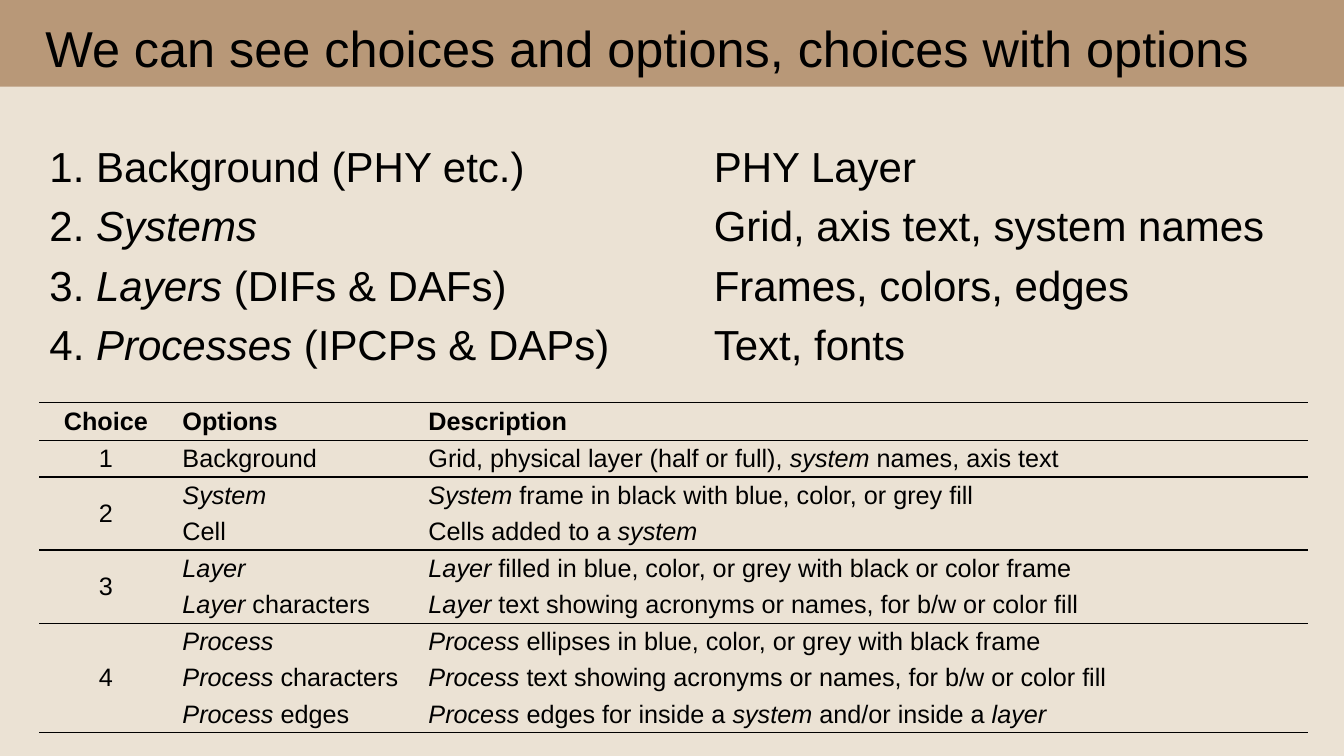
from dataclasses import dataclass

from lxml.etree import SubElement
from pptx import Presentation
from pptx.dml.color import RGBColor
from pptx.enum.text import MSO_ANCHOR, MSO_AUTO_SIZE, PP_ALIGN
from pptx.oxml.ns import qn
from pptx.util import Inches, Pt


@dataclass(frozen=True)
class Theme:
    """Colours, font and type sizes of the slide."""
    background: RGBColor = RGBColor(0xEB, 0xE2, 0xD4)
    band: RGBColor = RGBColor(0xB8, 0x98, 0x78)
    ink: RGBColor = RGBColor(0, 0, 0)
    font: str = "Arial"
    title_size: int = 36
    body_size: int = 30
    table_size: int = 18
    rule_width: int = 1


THEME = Theme()

CHOICES = ["1. Background (PHY etc.)", "2. *Systems*",
           "3. *Layers* (DIFs & DAFs)", "4. *Processes* (IPCPs & DAPs)"]
OPTIONS = ["PHY Layer", "Grid, axis text, system names",
           "Frames, colors, edges", "Text, fonts"]
HEADER = ("Choice", "Options", "Description")
GROUPS = [
    [("Background", "Grid, physical layer (half or full), *system* names, axis text")],
    [("*System*", "*System* frame in black with blue, color, or grey fill"),
     ("Cell", "Cells added to a *system*")],
    [("*Layer*", "*Layer* filled in blue, color, or grey with black or color frame"),
     ("*Layer* characters", "*Layer* text showing acronyms or names, for b/w or color fill")],
    [("*Process*", "*Process* ellipses in blue, color, or grey with black frame"),
     ("*Process* characters", "*Process* text showing acronyms or names, for b/w or color fill"),
     ("*Process* edges", "*Process* edges for inside a *system* and/or inside a *layer*")],
]
UNRULED_OPTION = "*Process* characters"


def add_runs(paragraph, text, size, bold=False):
    """Add text run by run, with the parts between asterisks in italics."""
    for index, part in enumerate(text.split("*")):
        if part:
            run = paragraph.add_run()
            run.text = part
            font = run.font
            font.name, font.size = THEME.font, Pt(size)
            font.bold, font.italic = bold, index % 2 == 1
            font.color.rgb = THEME.ink


def place(shape, box):
    """Move a shape to a box given as left, top, width and height in inches."""
    shape.left, shape.top, shape.width, shape.height = map(Inches, box)


def set_indent(paragraph, margin):
    """Set the left margin in inches and remove the bullet."""
    properties = paragraph._p.get_or_add_pPr()
    properties.set("marL", str(Inches(margin)))
    properties.set("indent", "0")
    SubElement(properties, qn("a:buNone"))


def fill_title(title, box, text):
    """Turn the title placeholder into a coloured band."""
    place(title, box)
    title.fill.solid()
    title.fill.fore_color.rgb = THEME.band
    frame = title.text_frame
    frame.auto_size = MSO_AUTO_SIZE.NONE
    frame.vertical_anchor = MSO_ANCHOR.MIDDLE
    frame.margin_left = frame.margin_top = Inches(0.2)
    paragraph = frame.paragraphs[0]
    paragraph.alignment = PP_ALIGN.LEFT
    paragraph.line_spacing = 0.9
    set_indent(paragraph, 0.25)
    add_runs(paragraph, text, THEME.title_size)


def fill_list(body, box, lines):
    """Write lines without bullets into a body placeholder."""
    place(body, box)
    frame = body.text_frame
    frame.auto_size = MSO_AUTO_SIZE.NONE
    for index, line in enumerate(lines):
        paragraph = frame.add_paragraph() if index else frame.paragraphs[0]
        paragraph.line_spacing = 0.9
        paragraph.space_before = Pt(10)
        set_indent(paragraph, 0)
        add_runs(paragraph, line, THEME.body_size)


def set_rules(cell, sides):
    """Draw the named sides of a cell and clear the others."""
    cell.fill.background()
    properties = cell._tc.get_or_add_tcPr()
    for index, side in enumerate("LRTB"):
        line = SubElement(properties, qn(f"a:ln{side}"), w=str(Pt(THEME.rule_width)))
        if side in sides:
            fill = SubElement(line, qn("a:solidFill"))
            SubElement(fill, qn("a:srgbClr"), val=str(THEME.ink))
        else:
            SubElement(line, qn("a:noFill"))
        properties.insert(index, line)


def fill_cell(cell, text, centred, header=False):
    """Write one table cell."""
    if not header:
        cell.vertical_anchor = MSO_ANCHOR.MIDDLE
        cell.margin_top = cell.margin_bottom = 0
    paragraph = cell.text_frame.paragraphs[0]
    paragraph.alignment = PP_ALIGN.CENTER if centred else PP_ALIGN.LEFT
    add_runs(paragraph, text, THEME.table_size, bold=header)


def add_choice_table(slide, box, header_height=0.38):
    """Add the table of choices, with one merged number cell per group."""
    left, top, width, height = box
    row_count = 1 + sum(map(len, GROUPS))
    table = slide.shapes.add_table(row_count, len(HEADER), *map(Inches, box)).table
    table.first_row = table.horz_banding = False
    for column, column_width in zip(table.columns, (1.32, 2.44, width - 3.76)):
        column.width = Inches(column_width)
    for index, row in enumerate(table.rows):
        body_height = (height - header_height) / (row_count - 1)
        row.height = Inches(body_height if index else header_height)

    for column, text in enumerate(HEADER):
        cell = table.cell(0, column)
        fill_cell(cell, text, column == 0, header=True)
        set_rules(cell, "TB")

    first = 1
    for number, group in enumerate(GROUPS, 1):
        last = first + len(group) - 1
        fill_cell(table.cell(first, 0), str(number), True)
        for row, texts in enumerate(group, first):
            set_rules(table.cell(row, 0), ("T" if row == first else "") + ("B" if row == last else ""))
            above = "T" if row == first else ""
            below = "" if texts[0] == UNRULED_OPTION else "B"
            for column, text in enumerate(texts, 1):
                fill_cell(table.cell(row, column), text, False)
                set_rules(table.cell(row, column), above + below)
        if last > first:
            table.cell(first, 0).merge(table.cell(last, 0))
            set_rules_on_merge = table.cell(first, 0)
            bottom = set_rules_on_merge._tc.tcPr.find(qn("a:lnB"))
            bottom.remove(bottom[0])
            fill = SubElement(bottom, qn("a:solidFill"))
            SubElement(fill, qn("a:srgbClr"), val=str(THEME.ink))
        first = last + 1


def main():
    """Build and save the slide."""
    presentation = Presentation()
    presentation.slide_width, presentation.slide_height = Inches(13.33), Inches(7.5)
    slide = presentation.slides.add_slide(presentation.slide_layouts[3])
    slide.background.fill.solid()
    slide.background.fill.fore_color.rgb = THEME.background
    title, choices, options = slide.placeholders
    fill_title(title, (0, 0, 13.33, 0.86), "We can see choices and options, choices with options")
    fill_list(choices, (0.39, 1.4, 5.98, 4.72), CHOICES)
    fill_list(options, (6.98, 1.4, 5.98, 4.72), OPTIONS)
    add_choice_table(slide, (0.39, 3.99, 12.58, 3.28))
    presentation.save("out.pptx")


if __name__ == "__main__":
    main()
